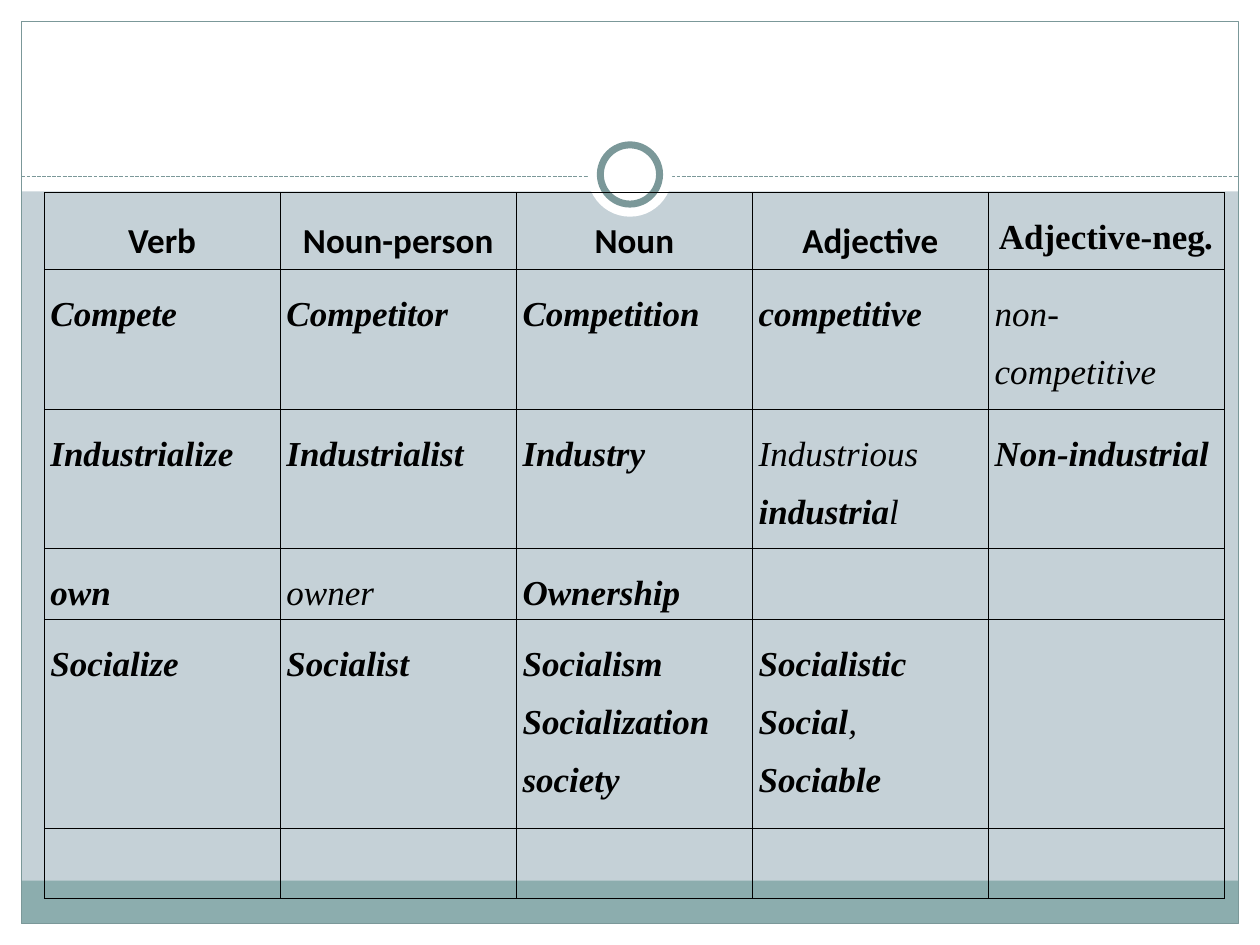
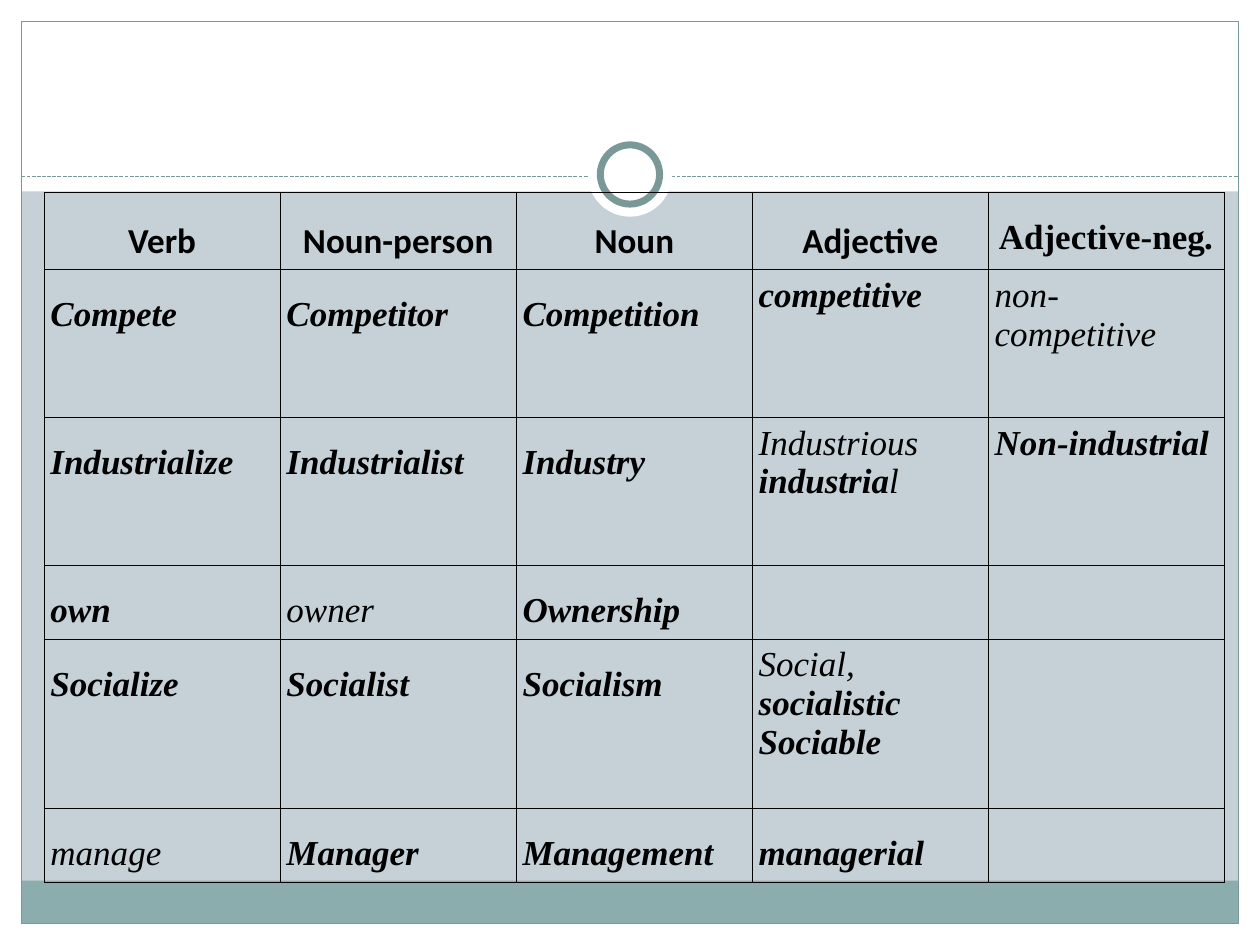
from dataclasses import dataclass

import pptx
import pptx.dml.color
import pptx.enum.dml
import pptx.enum.shapes
import pptx.enum.text
import pptx.util
from lxml import etree

GRID_COLS, GRID_ROWS = 100, 75
SHAPE = pptx.enum.shapes.MSO_SHAPE
NS = "http://schemas.openxmlformats.org/drawingml/2006/main"


@dataclass(frozen=True)
class Theme:
    """Colours, fonts and sizes used on every slide."""
    ground: str = "C5D1D7"
    white: str = "FFFFFF"
    band: str = "8CADAE"
    rule: str = "7B9899"
    ink: str = "000000"
    head_font: str = "Calibri"
    body_font: str = "Times New Roman"
    text_size: float = 20
    rule_width: float = 0.75
    ring_width: float = 4
    border_width: float = 0.45
    line_spacing: float = 1.5
    cell_margin: float = 0.05


THEME = Theme()


@dataclass(frozen=True)
class Box:
    """A region measured in grid columns and rows."""
    x: float
    y: float
    w: float
    h: float

    def area(self, x, y, w, h):
        """Return a region placed from this one's corner."""
        return Box(self.x + x, self.y + y, w, h)

    def inset(self, d):
        """Return the region shrunk by d on every side."""
        return self.area(d, d, self.w - 2 * d, self.h - 2 * d)

    def emu(self, prs):
        """Return left, top, width and height on the slide."""
        col, row = prs.slide_width / GRID_COLS, prs.slide_height / GRID_ROWS
        return [round(v) for v in (self.x * col, self.y * row, self.w * col, self.h * row)]


PAGE = Box(0, 0, GRID_COLS, GRID_ROWS)
HEADERS = ["Verb", "Noun-person", "Noun", "Adjective", "Adjective-neg."]
COMPETE = ["*Compete*", "*Competitor*", "*Competition*", "*competitive*", "non-competitive"]
INDUSTRY = ["*Industrialize*", "*Industrialist*", "*Industry*",
            "Industrious\n*industria*l", "*Non-industrial*"]
OWN = ["*own*", "owner", "*Ownership*", "", ""]
SOCIAL = ["*Socialize*", "*Socialist*"]


def rgb(code):
    """Return a colour from its hex code."""
    return pptx.dml.color.RGBColor.from_string(code)


def add_plain(prs, s, kind, box, fill=None, line=None, width=THEME.rule_width):
    """Add a shadowless preset shape."""
    sp = s.shapes.add_shape(kind, *box.emu(prs))
    sp.shadow.inherit = False
    if fill:
        sp.fill.solid()
        sp.fill.fore_color.rgb = rgb(fill)
    else:
        sp.fill.background()
    if line:
        sp.line.color.rgb = rgb(line)
        sp.line.width = pptx.util.Pt(width)
    else:
        sp.line.fill.background()


def add_frame(prs, s, page):
    """Draw the white margins, footer band, outline, dashed rule and ring."""
    m = 1.7
    inner = page.inset(m)
    for margin in (page.area(0, page.h - m, page.w, m), page.area(0, 0, page.w, 15.2),
                   page.area(0, 0, m, page.h), page.area(page.w - m, 0, m, page.h)):
        add_plain(prs, s, SHAPE.RECTANGLE, margin, THEME.white)
    add_plain(prs, s, SHAPE.RECTANGLE, inner.area(0, inner.h - 3.4, inner.w, 3.4), THEME.band)
    add_plain(prs, s, SHAPE.RECTANGLE, inner, line=THEME.rule)

    x, y, w, _ = inner.area(0, 12.3, inner.w, 0).emu(prs)
    rule = s.shapes.add_connector(pptx.enum.shapes.MSO_CONNECTOR.STRAIGHT, x, y, x + w, y)
    rule.line.color.rgb = rgb(THEME.rule)
    rule.line.width = pptx.util.Pt(THEME.rule_width)
    rule.line.dash_style = pptx.enum.dml.MSO_LINE.SQUARE_DOT
    etree.SubElement(rule._element.spPr, f"{{{NS}}}effectLst")

    disc = page.area((page.w - 6.7) / 2, 10.5, 6.7, 6.7)
    add_plain(prs, s, SHAPE.OVAL, disc, THEME.white)
    add_plain(prs, s, SHAPE.OVAL, disc.inset(1), THEME.white, THEME.rule, THEME.ring_width)


def set_borders(cell):
    """Draw a thin line on all four sides of a cell."""
    tc_pr = cell._tc.get_or_add_tcPr()
    for side in ("lnL", "lnR", "lnT", "lnB"):
        ln = etree.SubElement(tc_pr, f"{{{NS}}}{side}", w=str(int(pptx.util.Pt(THEME.border_width))))
        fill = etree.SubElement(ln, f"{{{NS}}}solidFill")
        etree.SubElement(fill, f"{{{NS}}}srgbClr", val=THEME.ink)


def style_paragraph(p, font, spacing):
    """Apply the common text style to a paragraph."""
    p.line_spacing = spacing
    p.font.name = font
    p.font.size = pptx.util.Pt(THEME.text_size)
    p.font.color.rgb = rgb(THEME.ink)


def write_header(cell, text, font):
    """Write a centred bold heading, with any final stop in italics."""
    p = cell.text_frame.paragraphs[0]
    p.alignment = pptx.enum.text.PP_ALIGN.CENTER
    style_paragraph(p, font, THEME.line_spacing)
    p.font.bold = True
    p.add_run().text = text.rstrip(".")
    if text.endswith("."):
        r = p.add_run()
        r.text = "."
        r.font.italic = True


def write_words(cell, text, spacing):
    """Write italic lines in which *starred* pieces are bold."""
    tf = cell.text_frame
    for i, line in enumerate(text.split("\n")):
        p = tf.add_paragraph() if i else tf.paragraphs[0]
        style_paragraph(p, THEME.body_font, spacing)
        p.font.italic = True
        for j, piece in enumerate(line.split("*")):
            if piece:
                r = p.add_run()
                r.text = piece
                r.font.bold = j % 2 == 1


def add_word_table(prs, s, box, rows, lines, single):
    """Fill the box with a word-family table; lines gives relative row heights."""
    rows = [HEADERS] + rows
    x, y, w, h = box.emu(prs)
    table = s.shapes.add_table(len(rows), len(HEADERS), x, y, w, h).table
    table.first_row = table.horz_banding = False
    for col in table.columns:
        col.width = round(w / len(HEADERS))
    for i, words in enumerate(rows):
        table.rows[i].height = round(h * lines[i] / sum(lines))
        for j, text in enumerate(words):
            cell = table.cell(i, j)
            set_borders(cell)
            cell.fill.background()
            cell.margin_left = cell.margin_right = pptx.util.Inches(THEME.cell_margin)
            cell.margin_top = cell.margin_bottom = pptx.util.Inches(THEME.cell_margin)
            if i == 0:
                last = j == len(HEADERS) - 1
                write_header(cell, text, THEME.body_font if last else THEME.head_font)
            elif text:
                write_words(cell, text, 1.0 if (i, j) in single else THEME.line_spacing)


def add_word_slide(prs, height, rows, lines, single=()):
    """Add a framed slide holding one word-family table."""
    s = prs.slides.add_slide(prs.slide_layouts[6])
    add_frame(prs, s, PAGE)
    add_word_table(prs, s, PAGE.area(3.5, 15.3, 93.7, height), rows, lines, single)


def main():
    """Build and save the presentation."""
    prs = pptx.Presentation()
    prs.slide_width, prs.slide_height = pptx.util.Inches(10), pptx.util.Inches(7.5)
    ground = prs.slide_master.background.fill
    ground.solid()
    ground.fore_color.rgb = rgb(THEME.ground)

    add_word_slide(prs, 55.3, [
        COMPETE, INDUSTRY, OWN,
        SOCIAL + ["*Socialism*\n*Socialization*\n*society*",
                  "*Socialistic*\n*Social*,\n*Sociable*", ""],
        [""] * len(HEADERS),
    ], [1, 2, 2, 1, 3, 1])
    add_word_slide(prs, 54.5, [
        COMPETE, INDUSTRY, OWN,
        SOCIAL + ["*Socialism*", "Social, *socialistic*\n*Sociable*", ""],
        ["manage", "*Manager*", "*Management*", "*managerial*", ""],
    ], [1, 2, 2, 1, 2.29, 1], {(i, j) for i in (1, 2, 4) for j in (3, 4)})
    prs.save("out.pptx")


if __name__ == "__main__":
    main()
